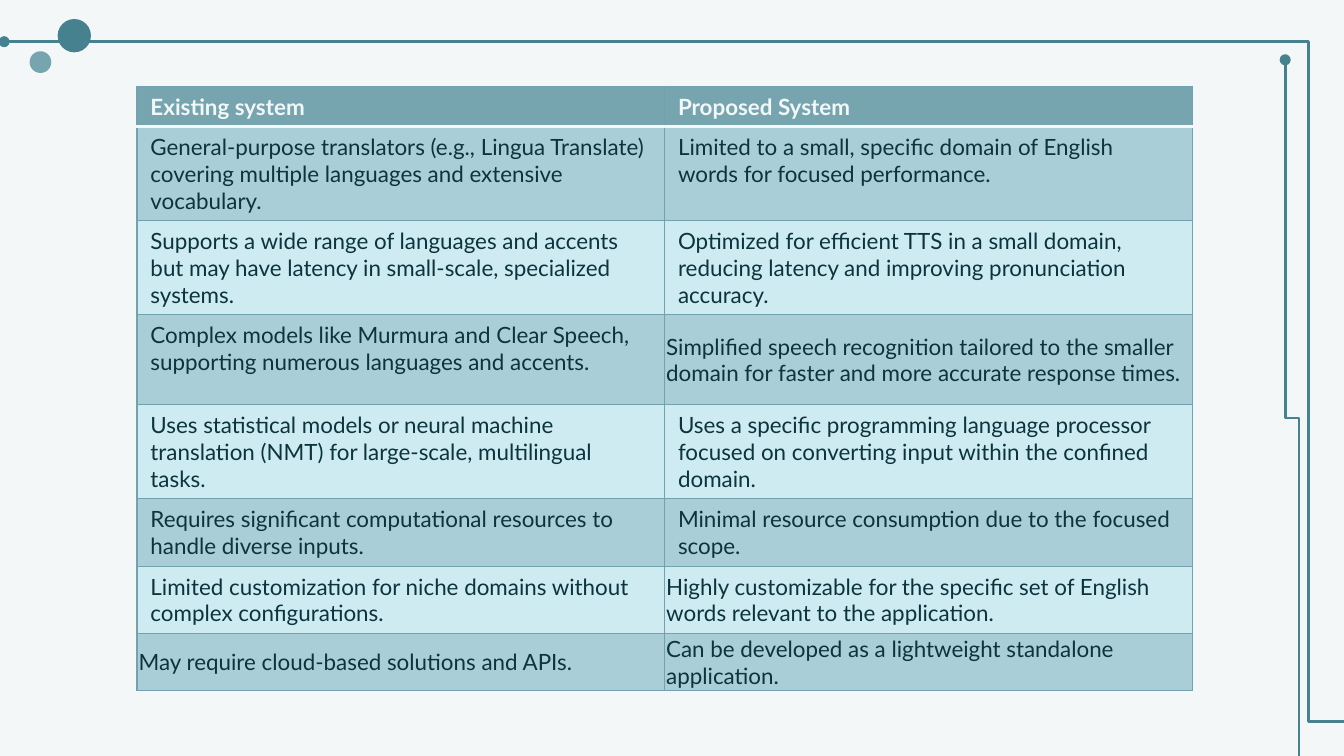
from lxml.etree import SubElement
from pptx import Presentation
from pptx.dml.color import RGBColor as RGB
from pptx.enum.shapes import MSO_CONNECTOR as CONN, MSO_SHAPE as SHAPE
from pptx.enum.text import MSO_ANCHOR as ANCHOR
from pptx.oxml.ns import qn
from pptx.util import Cm, Pt

THEME = {
    "font": "Lato", "size": 12,
    "paper": "F3F7F8", "ink": "0C343D", "teal": "45818E", "soft": "76A5AF",
    "band": "AACED7", "plain": "CEEBF1", "grid": "72A2AD",
}

HEADER = ("Existing system", "Proposed System")
ROWS = [
    ("General-purpose translators (e.g., Lingua Translate) covering multiple languages and extensive vocabulary.",
     "Limited to a small, specific domain of English words for focused performance."),
    ("Supports a wide range of languages and accents but may have latency in small-scale, specialized systems.",
     "Optimized for efficient TTS in a small domain, reducing latency and improving pronunciation accuracy."),
    ("Complex models like Murmura and Clear Speech, supporting numerous languages and accents.",
     "Simplified speech recognition tailored to the smaller domain for faster and more accurate response times."),
    ("Uses statistical models or neural machine translation (NMT) for large-scale, multilingual tasks.",
     "Uses a specific programming language processor focused on converting input within the confined domain."),
    ("Requires significant computational resources to handle diverse inputs.",
     "Minimal resource consumption due to the focused scope."),
    ("Limited customization for niche domains without complex configurations.",
     "Highly customizable for the specific set of English words relevant to the application."),
    ("May require cloud-based solutions and APIs.",
     "Can be developed as a lightweight standalone application."),
]
HEIGHTS = [0.76, 1.7, 1.7, 1.7, 1.7, 1.22, 1.22, 0.89]
LEFT, TOP, COL_WIDTH = 2.59, 1.63, 9.97
TIGHT_CELLS = {(3, 1), (6, 1), (7, 0), (7, 1)}

DOTS = [(0.56, 0.97, 0.41, "soft"), (1.09, 0.36, 0.63, "teal")]
RAILS = [
    ((25.5, 13.64), (0.08, 0.79), 0.03, 0),
    ((31.19, 7.77), (17.65, 8.03), 0.5, 90),
]


def color(name):
    return RGB.from_string(THEME[name])


def add_dot(s, x, y, size, fill):
    sp = s.shapes.add_shape(SHAPE.OVAL, Cm(x), Cm(y), Cm(size), Cm(size))
    sp.shadow.inherit = False
    sp.fill.solid()
    sp.fill.fore_color.rgb = color(fill)
    sp.line.fill.background()


def add_rail(s, start, end, bend, turn):
    rail = s.shapes.add_connector(CONN.ELBOW, *map(Cm, start + end))
    rail.line.color.rgb = color("teal")
    rail.line.width = Pt(1.5)
    props = rail.element.spPr
    SubElement(props.find(qn("a:ln")), qn("a:tailEnd"), type="oval")
    SubElement(props, qn("a:effectLst"))
    if turn:
        props.find(qn("a:xfrm")).set("rot", str(turn * 60000))
    guides = props.find(qn("a:prstGeom")).find(qn("a:avLst"))
    SubElement(guides, qn("a:gd"), name="adj1", fmla=f"val {round(bend * 100000)}")


def add_border(cell, side, name, width):
    ln = SubElement(cell._tc.get_or_add_tcPr(), qn(f"a:ln{side}"), w=str(Pt(width)))
    fill = SubElement(ln, qn("a:solidFill"))
    SubElement(fill, qn("a:srgbClr"), val=THEME[name])


def format_cell(cell, row, col, text):
    header = row == 0
    for side in "LRTB":
        divider = (row, side) in {(0, "B"), (1, "T")}
        add_border(cell, side, *(("paper", 2) if divider else ("grid", 0.75)))
    cell.fill.solid()
    cell.fill.fore_color.rgb = color("soft" if header else "band" if row % 2 else "plain")
    if (row, col) in TIGHT_CELLS:
        cell.vertical_anchor = ANCHOR.MIDDLE
        cell.margin_left = cell.margin_right = Cm(0.03)
        cell.margin_top = cell.margin_bottom = Cm(0.03)
    cell.text = text
    font = cell.text_frame.paragraphs[0].font
    font.name, font.size, font.bold = THEME["font"], Pt(THEME["size"]), header
    font.color.rgb = color("paper" if header else "ink")


def add_comparison(s):
    content = [HEADER, *ROWS]
    frame = s.shapes.add_table(len(content), len(HEADER), Cm(LEFT), Cm(TOP),
                               Cm(COL_WIDTH * len(HEADER)), Cm(sum(HEIGHTS)))
    table = frame.table
    table.first_row = table.horz_banding = False
    for column in table.columns:
        column.width = Cm(COL_WIDTH)
    for i, (texts, height) in enumerate(zip(content, HEIGHTS)):
        table.rows[i].height = Cm(height)
        for j, text in enumerate(texts):
            format_cell(table.cell(i, j), i, j, text)


def main():
    prs = Presentation()
    prs.slide_width, prs.slide_height = Cm(25.4), Cm(14.29)
    s = prs.slides.add_slide(prs.slide_layouts[6])
    s.background.fill.solid()
    s.background.fill.fore_color.rgb = color("paper")
    for dot in DOTS:
        add_dot(s, *dot)
    for rail in RAILS:
        add_rail(s, *rail)
    add_comparison(s)
    prs.save("out.pptx")


if __name__ == "__main__":
    main()
